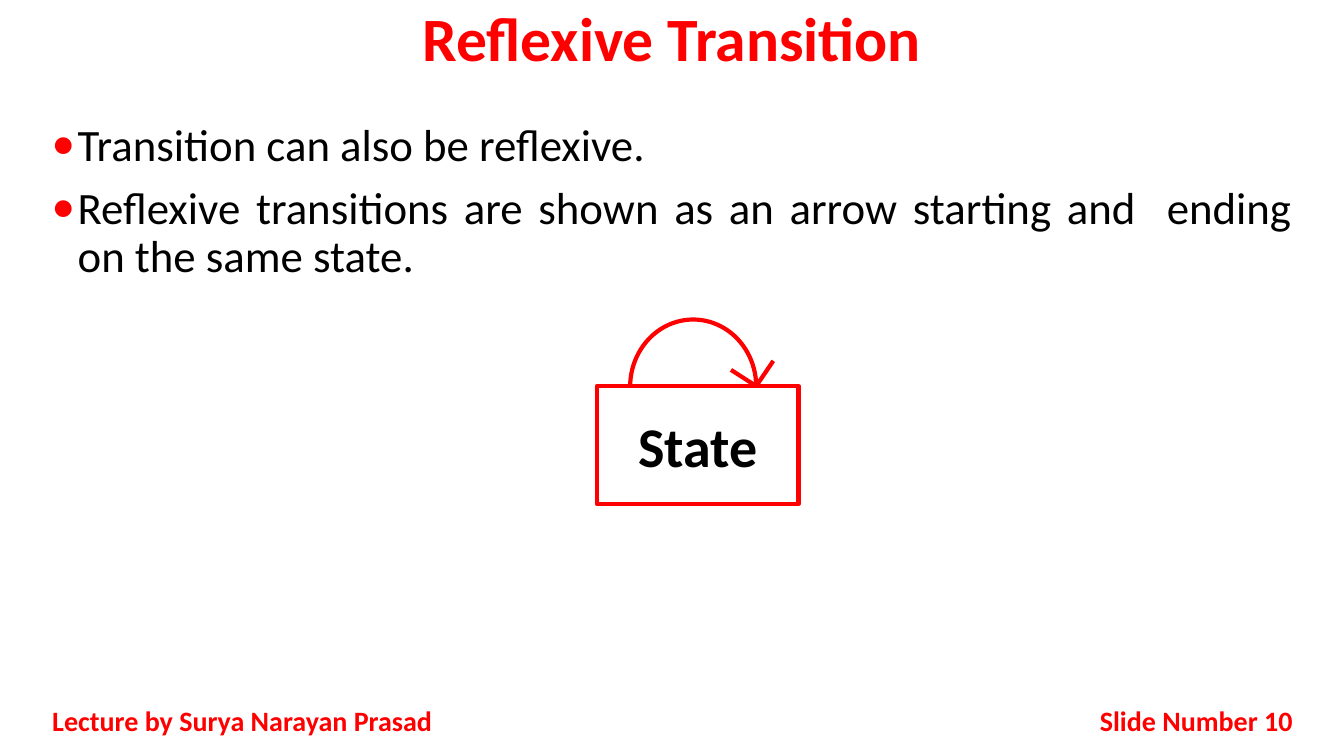
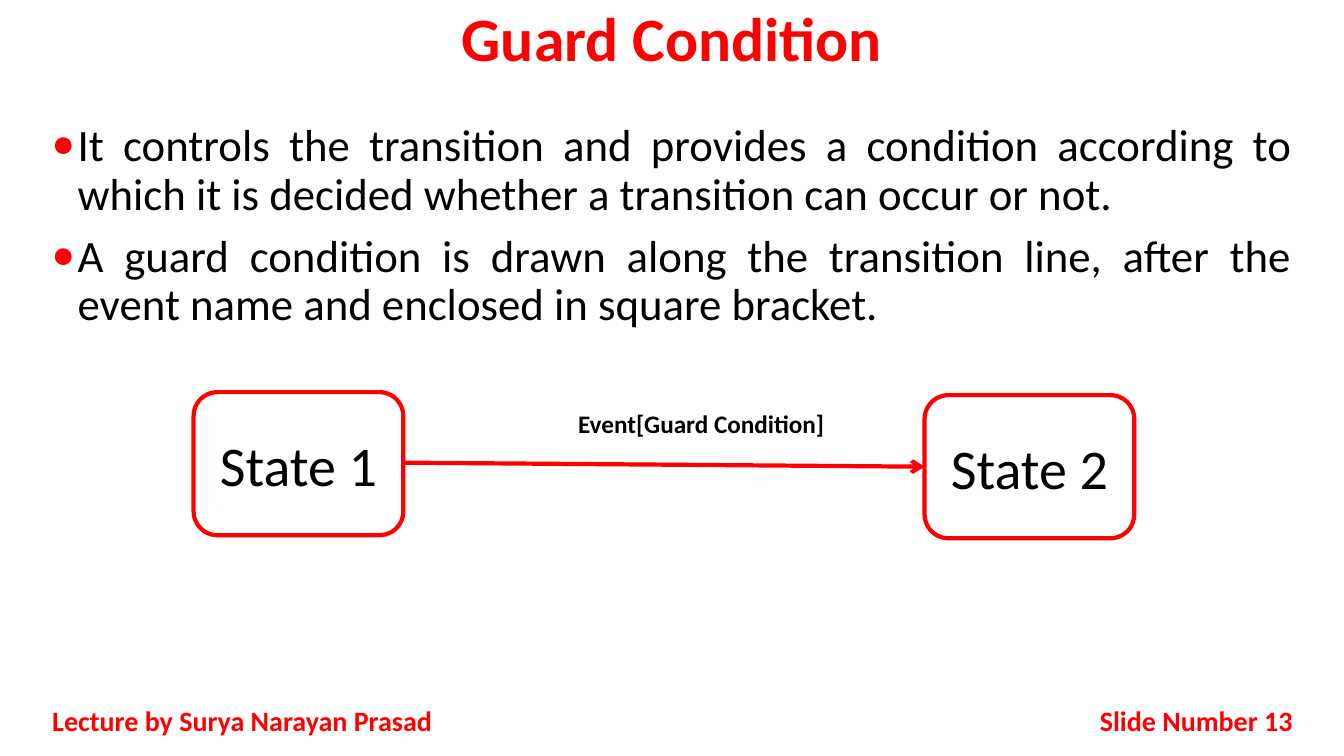
"""Build two lecture slides on state diagram transitions."""
import lxml.etree
import pptx
import pptx.dml.color
import pptx.enum.shapes
import pptx.enum.text
import pptx.oxml
import pptx.oxml.ns
import pptx.util

Inches, Pt = pptx.util.Inches, pptx.util.Pt
ALIGN = pptx.enum.text.PP_ALIGN
MIDDLE = pptx.enum.text.MSO_ANCHOR.MIDDLE
SHAPE = pptx.enum.shapes.MSO_SHAPE
STRAIGHT = pptx.enum.shapes.MSO_CONNECTOR.STRAIGHT
RED, BLACK, WHITE = "FF0000", "000000", "FFFFFF"
rgb = pptx.dml.color.RGBColor.from_string
qn = pptx.oxml.ns.qn

BULLET = (
    f'<a:buClr {pptx.oxml.ns.nsdecls("a")}><a:srgbClr val="{RED}"/></a:buClr>',
    f'<a:buSzPct {pptx.oxml.ns.nsdecls("a")} val="81000"/>',
    f'<a:buFont {pptx.oxml.ns.nsdecls("a")} typeface="Calibri"/>',
    f'<a:buChar {pptx.oxml.ns.nsdecls("a")} char="●"/>',
)


def write(holder, lines, size, color, bold, align):
    frame = holder.text_frame
    frame.text = "\n".join(lines)
    frame.word_wrap = True
    frame.auto_size = pptx.enum.text.MSO_AUTO_SIZE.NONE
    frame.vertical_anchor = MIDDLE
    for paragraph in frame.paragraphs:
        paragraph.alignment = align
        paragraph.font.name = "Calibri"
        paragraph.font.size = Pt(size)
        paragraph.font.bold = bold
        paragraph.font.color.rgb = rgb(color)
    return frame


def outline(part):
    part.line.color.rgb = rgb(RED)
    part.line.width = Pt(3)
    if part.shape_type == pptx.enum.shapes.MSO_SHAPE_TYPE.AUTO_SHAPE:
        part.shadow.inherit = False
    else:
        lxml.etree.SubElement(part._element.spPr, qn("a:effectLst"))


deck = pptx.Presentation()
deck.slide_width, deck.slide_height = Inches(13.33), Inches(7.5)

topics = [
    ("Reflexive Transition", 10, [
        "Transition can also be reflexive. ",
        "Reflexive transitions are shown as an arrow starting and  ending on the same state.",
    ]),
    ("Guard Condition", 13, [
        "It controls the transition and provides a condition according to which it is decided "
        "whether a transition can occur or not.",
        "A guard condition is drawn along the transition line, after the event name and "
        "enclosed in square bracket.",
    ]),
]
slides = []
for heading, number, points in topics:
    slide = deck.slides.add_slide(deck.slide_layouts[1])
    slides.append(slide)
    title, body = slide.placeholders
    title.left, title.top, title.width, title.height = 0, 0, deck.slide_width, Inches(0.83)
    write(title, [heading], 44, RED, True, ALIGN.CENTER).paragraphs[0].line_spacing = 0.9

    body.left, body.top, body.width, body.height = map(Inches, (0.42, 1.17, 12.5, 5.31))
    explanation = write(body, points, 32, BLACK, False, ALIGN.JUSTIFY)
    explanation.vertical_anchor = pptx.enum.text.MSO_ANCHOR.TOP
    for point in explanation.paragraphs:
        point.line_spacing = 0.9
        point.space_before = Pt(10)
        properties = point._p.get_or_add_pPr()
        properties.set("marL", str(Inches(0.25)))
        properties.set("indent", str(Inches(-0.25)))
        for bullet_part in BULLET:
            properties.append(pptx.oxml.parse_xml(bullet_part))

    for text, left, width, align in (
        ("Lecture by Surya Narayan Prasad", 0.42, 4.17, ALIGN.JUSTIFY),
        (f"Slide Number {number}", 10.17, 2.75, ALIGN.RIGHT),
    ):
        footer = slide.shapes.add_textbox(Inches(left), Inches(6.95), Inches(width), Inches(0.4))
        write(footer, [text], 20, RED, True, align)

reflexive, guard = (slide.shapes for slide in slides)

loop = reflexive.add_shape(SHAPE.OVAL, Inches(6.25), Inches(3.17), Inches(1.25), Inches(1.33))
state = reflexive.add_shape(SHAPE.RECTANGLE, Inches(5.92), Inches(3.83), Inches(2), Inches(1.17))
for part in (loop, state):
    part.fill.solid()
    part.fill.fore_color.rgb = rgb(WHITE)
    outline(part)
write(state, ["State"], 40, BLACK, True, ALIGN.CENTER)
for barb_x, barb_y in ((7.67, 3.58), (7.25, 3.67)):
    barb = reflexive.add_connector(
        STRAIGHT, Inches(7.5), Inches(3.83), Inches(barb_x), Inches(barb_y))
    outline(barb)

for name, left, top in (("State 1", 1.92, 3.89), ("State 2", 9.17, 3.92)):
    state = guard.add_shape(
        SHAPE.ROUNDED_RECTANGLE, Inches(left), Inches(top), Inches(2.08), Inches(1.42))
    state.fill.background()
    outline(state)
    write(state, [name], 40, BLACK, False, ALIGN.CENTER)
event = guard.add_textbox(Inches(5.58), Inches(4), Inches(2.75), Inches(0.4))
write(event, ["Event[Guard Condition]"], 18, BLACK, True, ALIGN.CENTER)
transition = guard.add_connector(STRAIGHT, Inches(4), Inches(4.59), Inches(9.17), Inches(4.63))
outline(transition)
lxml.etree.SubElement(transition.line._get_or_add_ln(), qn("a:tailEnd"), type="arrow")

deck.save("out.pptx")
